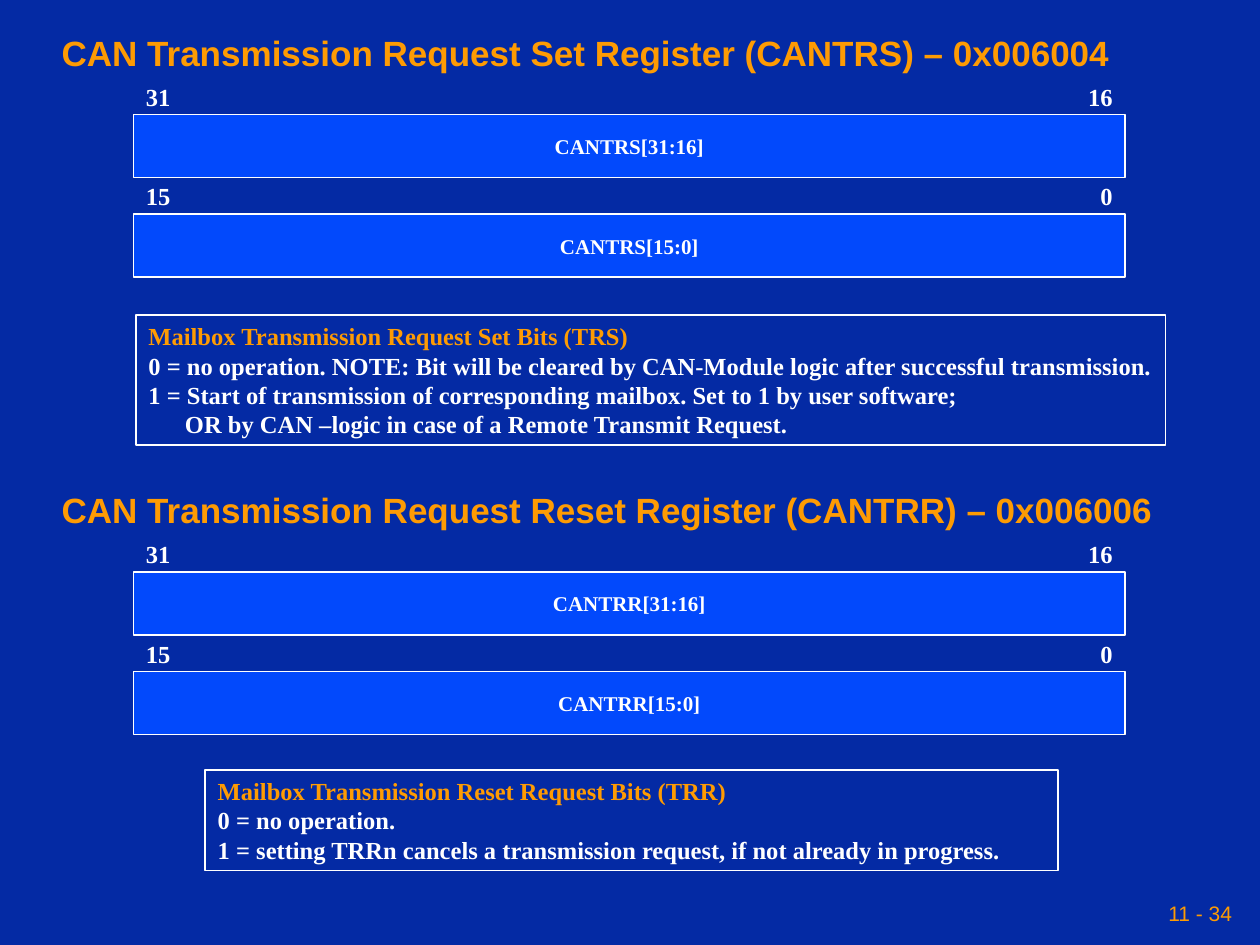
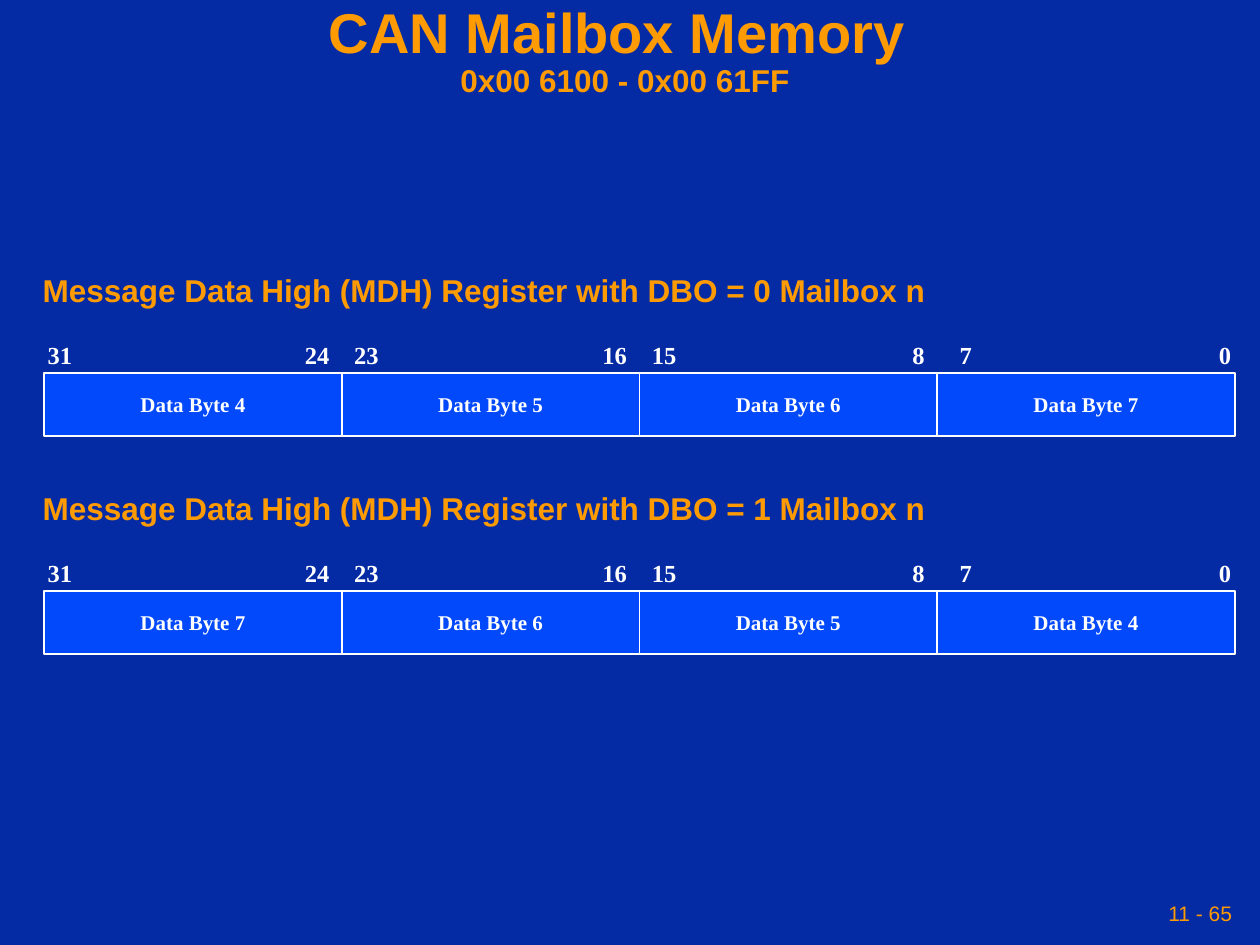
from dataclasses import dataclass

from pptx import Presentation
from pptx import util as u
from pptx.dml.color import RGBColor
from pptx.enum import shapes, text


@dataclass(frozen=True)
class Theme:
    background: str = "042AA4"
    field: str = "0249FC"
    accent: str = "FE9B03"
    plain: str = "FFFFFF"
    heading_font: str = "Arial"
    body_font: str = "Times New Roman"
    title_size: int = 32
    heading_size: int = 20
    subheading_size: int = 18
    body_size: int = 14
    small_size: int = 12


@dataclass(frozen=True)
class Field:
    name: str
    high: int
    low: int
    high_shift: float = 0
    low_shift: float = 0


LEFT = text.PP_ALIGN.LEFT
CENTER = text.PP_ALIGN.CENTER
RIGHT = text.PP_ALIGN.RIGHT
MIDDLE = text.MSO_ANCHOR.MIDDLE
FIELD_HEIGHT = 0.5
LABEL_RISE = 0.31


class RegisterDeck:
    def __init__(self, theme):
        self.theme = theme
        self.deck = Presentation()
        self.deck.slide_width = u.Inches(10)
        self.deck.slide_height = u.Inches(7.5)
        self.page = None

    def new_page(self, number):
        self.page = self.deck.slides.add_slide(self.deck.slide_layouts[6])
        fill = self.page.background.fill
        fill.solid()
        fill.fore_color.rgb = RGBColor.from_string(self.theme.background)
        frame = self.text_frame(6.83, 7.08, 3, 0.33, margin=0.05, anchor=MIDDLE)
        para = frame.paragraphs[0]
        para.alignment = RIGHT
        self.span(para, number, self.theme.small_size, self.theme.accent,
                  self.theme.heading_font, bold=False)

    def span(self, para, words, size, color, font, bold=True):
        span = para.add_run()
        span.text = words
        span.font.size = u.Pt(size)
        span.font.bold = bold
        span.font.name = font
        span.font.color.rgb = RGBColor.from_string(color)

    def prepare(self, frame, margin=0.1, anchor=text.MSO_ANCHOR.TOP, wrap=False):
        frame.margin_left = frame.margin_right = u.Inches(margin)
        frame.margin_top = frame.margin_bottom = u.Inches(0.05)
        frame.vertical_anchor = anchor
        frame.word_wrap = wrap
        return frame

    def text_frame(self, left, top, width, height, **options):
        box = self.page.shapes.add_textbox(
            u.Inches(left), u.Inches(top), u.Inches(width), u.Inches(height))
        return self.prepare(box.text_frame, **options)

    def outlined_box(self, left, top, width, height, fill=None):
        box = self.page.shapes.add_shape(
            shapes.MSO_SHAPE.RECTANGLE,
            u.Inches(left), u.Inches(top), u.Inches(width), u.Inches(height))
        box.shadow.inherit = False
        if fill:
            box.fill.solid()
            box.fill.fore_color.rgb = RGBColor.from_string(fill)
        else:
            box.fill.background()
        box.line.color.rgb = RGBColor.from_string(self.theme.plain)
        box.line.width = u.Pt(1)
        return box.text_frame

    def title(self, name, addresses):
        theme = self.theme
        frame = self.text_frame(0, 0, 9.92, 0.83, margin=0.05, anchor=MIDDLE, wrap=True)
        para = frame.paragraphs[0]
        para.alignment = CENTER
        para.line_spacing = 0.9
        self.span(para, name, theme.title_size, theme.accent, theme.heading_font)
        para.add_line_break()
        self.span(para, addresses, theme.subheading_size, theme.accent, theme.heading_font)

    def heading(self, words, left, top, width, size):
        para = self.text_frame(left, top, width, 0.43).paragraphs[0]
        para.alignment = LEFT
        self.span(para, words, size, self.theme.accent, self.theme.heading_font)

    def bit_label(self, bit, edge, top, align):
        words = str(bit)
        width = 0.2 + 0.1 * len(words)
        left = edge - width if align == RIGHT else edge
        para = self.text_frame(left, top, width, 0.34).paragraphs[0]
        para.alignment = align
        self.span(para, words, self.theme.body_size, self.theme.plain, self.theme.body_font)

    def register_row(self, left, top, width, fields):
        step = width / len(fields)
        for index, field in enumerate(fields):
            start = left + index * step
            frame = self.prepare(
                self.outlined_box(start, top, step, FIELD_HEIGHT, self.theme.field),
                anchor=MIDDLE)
            para = frame.paragraphs[0]
            para.alignment = CENTER
            self.span(para, field.name, self.theme.small_size, self.theme.plain,
                      self.theme.body_font)
            label_top = top - LABEL_RISE
            self.bit_label(field.high, start + field.high_shift, label_top, LEFT)
            self.bit_label(field.low, start + step + field.low_shift, label_top, RIGHT)

    def bit_notes(self, left, top, width, height, name, lines, continuation=None):
        theme = self.theme
        frame = self.prepare(self.outlined_box(left, top, width, height))
        entries = [name, *lines]
        if continuation:
            entries.append(continuation)
        for index, words in enumerate(entries):
            para = frame.add_paragraph() if index else frame.paragraphs[0]
            para.alignment = LEFT
            if words == continuation:
                para._p.get_or_add_pPr().set("marL", str(u.Inches(0.29)))
            self.span(para, words, theme.body_size,
                      theme.plain if index else theme.accent, theme.body_font)


def request_registers(book):
    book.new_page("11 - 34")
    registers = (
        ("CANTRS", "CAN Transmission Request Set Register (CANTRS) – 0x006004", 0.2, 0.91, 8.54),
        ("CANTRR", "CAN Transmission Request Reset Register (CANTRR) – 0x006006", 3.83, 4.54, 8.88),
    )
    for name, heading, heading_top, row_top, width in registers:
        book.heading(heading, 0.39, heading_top, width, book.theme.heading_size)
        for index, (high, low) in enumerate(((31, 16), (15, 0))):
            field = Field(f"{name}[{high}:{low}]", high, low)
            book.register_row(1.06, row_top + 0.79 * index, 7.87, [field])
    book.bit_notes(
        1.08, 2.5, 8.17, 1.03, "Mailbox Transmission Request Set Bits (TRS)",
        ["0 = no operation. NOTE: Bit will be cleared by CAN-Module logic "
         "after successful transmission.",
         "1 = Start of transmission of corresponding mailbox. Set to 1 by user software;"],
        "OR by CAN –logic in case of a Remote Transmit Request.")
    book.bit_notes(
        1.63, 6.11, 6.77, 0.8, "Mailbox Transmission Reset Request Bits (TRR)",
        ["0 = no operation.",
         "1 = setting TRRn cancels a transmission request, if not already in progress."])


def mailbox_memory(book):
    book.new_page("11 - 65")
    book.title("CAN Mailbox Memory ", "0x00 6100 - 0x00 61FF")
    label_shifts = ((-0.07, 0), (0, 0), (0, 0), (0.08, 0.07))
    for order, (heading_top, row_top, data_bytes) in enumerate((
            (2.1, 2.96, (4, 5, 6, 7)), (3.83, 4.69, (7, 6, 5, 4)))):
        book.heading(f"Message Data High (MDH) Register with DBO = {order} Mailbox n",
                     0.24, heading_top, 7.21, book.theme.subheading_size)
        fields = [
            Field(f"Data Byte {number}", 31 - 8 * index, 24 - 8 * index, *shifts)
            for index, (number, shifts) in enumerate(zip(data_bytes, label_shifts))]
        book.register_row(0.35, row_top, 9.45, fields)


def main():
    book = RegisterDeck(Theme())
    request_registers(book)
    mailbox_memory(book)
    book.deck.save("out.pptx")


if __name__ == "__main__":
    main()
